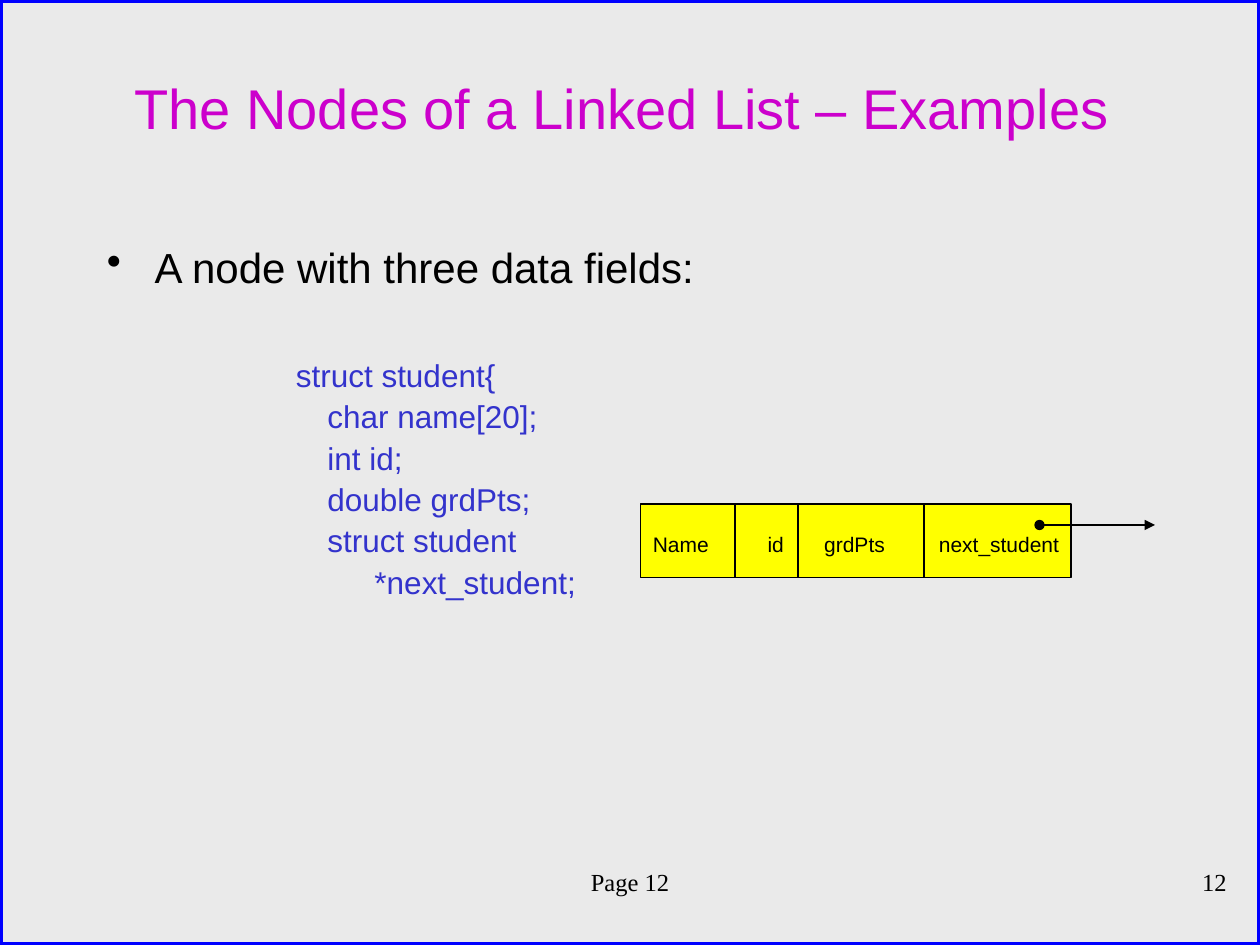
import dataclasses

import lxml.etree
import pptx
import pptx.dml.color
import pptx.enum.shapes
import pptx.enum.text
import pptx.oxml.ns
import pptx.util

ALIGN = pptx.enum.text.PP_ALIGN
ANCHOR = pptx.enum.text.MSO_ANCHOR
UNIT = pptx.util.Inches(1) // 12  # the slide is a grid of 120 columns by 90 rows
COLUMNS, ROWS = 120, 90


@dataclasses.dataclass(frozen=True)
class Theme:
    sans: str = "Arial"
    serif: str = "Times New Roman"
    paper: str = "EAEAEA"
    frame: str = "0000FF"
    title: str = "CC00CC"
    ink: str = "000000"
    code: str = "3333CC"
    record: str = "FFFF00"
    title_size: int = 32
    body_size: int = 24
    code_size: int = 18
    footer_size: int = 14
    label_size: int = 12


THEME = Theme()
CODE = [
    "struct student{",
    "\tchar name[20];",
    "\tint id;",
    "\tdouble grdPts;",
    "\tstruct student",
    "         *next_student;",
]


def color(value):
    return pptx.dml.color.RGBColor.from_string(value)


def grid(*cells):
    return [round(cell * UNIT) for cell in cells]


def add_element(parent, tag, **attributes):
    element = lxml.etree.SubElement(parent, pptx.oxml.ns.qn(tag))
    for name, value in attributes.items():
        element.set(name, str(value))
    return element


def set_indent(para, margin, hanging):
    properties = para._p.get_or_add_pPr()
    properties.set("marL", str(pptx.util.Inches(margin)))
    properties.set("indent", str(-pptx.util.Inches(hanging)))
    return properties


def add_bullet(para):
    properties = set_indent(para, 0.38, 0.38)
    add_element(add_element(properties, "a:buClr"), "a:srgbClr", val=THEME.ink)
    add_element(properties, "a:buChar", char="•")


def add_tabs(para, stops):
    tabs = add_element(para._p.get_or_add_pPr(), "a:tabLst")
    for stop in stops:
        add_element(tabs, "a:tab", pos=pptx.util.Inches(stop), algn="l")


def style(para, size, ink, face=THEME.sans, align=ALIGN.LEFT):
    para.alignment = align
    para.font.size = pptx.util.Pt(size)
    para.font.name = face
    para.font.color.rgb = color(ink)


def add_text_box(page, place, anchor=ANCHOR.TOP, top_inset=0.05):
    frame = page.shapes.add_textbox(*grid(*place)).text_frame
    frame.word_wrap = True
    frame.vertical_anchor = anchor
    frame.margin_top = pptx.util.Inches(top_inset)
    return frame


def add_box(page, place, fill, line, width):
    box = page.shapes.add_shape(
        pptx.enum.shapes.MSO_SHAPE.RECTANGLE, *grid(*place))
    box.shadow.inherit = False
    box.fill.solid()
    box.fill.fore_color.rgb = color(fill)
    box.line.color.rgb = color(line)
    box.line.width = pptx.util.Pt(width)
    return box


def add_line(page, start, end, width):
    line = page.shapes.add_connector(
        pptx.enum.shapes.MSO_CONNECTOR.STRAIGHT, *grid(*start, *end))
    line.line.color.rgb = color(THEME.ink)
    line.line.width = pptx.util.Pt(width)
    add_element(line._element.spPr, "a:effectLst")
    return line


def add_footer(page, place, text, align):
    para = add_text_box(page, place).paragraphs[0]
    para.text = text
    style(para, THEME.footer_size, THEME.ink, THEME.serif, align)


def add_title(page):
    para = add_text_box(page, (9, 5, 102, 10), ANCHOR.MIDDLE, 0.08).paragraphs[0]
    para.text = "The Nodes of a Linked List – Examples "
    style(para, THEME.title_size, THEME.title, align=ALIGN.CENTER)


def add_body(page):
    frame = add_text_box(page, (9, 22, 102, 65), top_inset=0.08)
    lead = frame.paragraphs[0]
    lead.text = "A node with three data fields:"
    add_bullet(lead)
    style(lead, THEME.body_size, THEME.ink, align=ALIGN.JUSTIFY)
    for number, code in enumerate(CODE):
        para = frame.add_paragraph()
        para.text = code
        set_indent(para, 1.75, 0.25)
        para.space_before = pptx.util.Pt(2 if number else 37)
        style(para, THEME.code_size, THEME.code, align=ALIGN.JUSTIFY)


def add_record(page):
    """Draw the node as one box, split into fields, with its outgoing pointer."""
    left, top, width, height = 61, 48, 41, 7
    box = add_box(page, (left, top, width, height), THEME.record, THEME.ink, 0.75)
    frame = box.text_frame
    frame.word_wrap = True
    frame.vertical_anchor = ANCHOR.MIDDLE
    frame.margin_top = pptx.util.Inches(0.1)
    frame.margin_right = 0
    para = frame.paragraphs[0]
    para.text = "Name\tid\tgrdPts\tnext_student"
    add_tabs(para, (0.91, 1.36, 2.27))
    style(para, THEME.label_size, THEME.ink)
    for column in (70, 76, 88):
        add_line(page, (column, top), (column, top + height), 0.75)
    pointer = add_line(page, (99, top + 2), (110, top + 2), 1.5)
    stroke = pointer.line._get_or_add_ln()
    add_element(stroke, "a:headEnd", type="oval")
    add_element(stroke, "a:tailEnd", type="triangle")


def main():
    deck = pptx.Presentation()
    deck.slide_width, deck.slide_height = grid(COLUMNS, ROWS)
    page = deck.slides.add_slide(deck.slide_layouts[6])
    page.background.fill.solid()
    page.background.fill.fore_color.rgb = color(THEME.paper)
    add_box(page, (0, 0, COLUMNS, ROWS), THEME.paper, THEME.frame, 3)
    add_footer(page, (8, 82, 104, 6), "Page 12", ALIGN.CENTER)
    add_footer(page, (93, 82, 25, 6), "12", ALIGN.RIGHT)
    add_title(page)
    add_body(page)
    add_record(page)
    deck.save("out.pptx")


if __name__ == "__main__":
    main()
